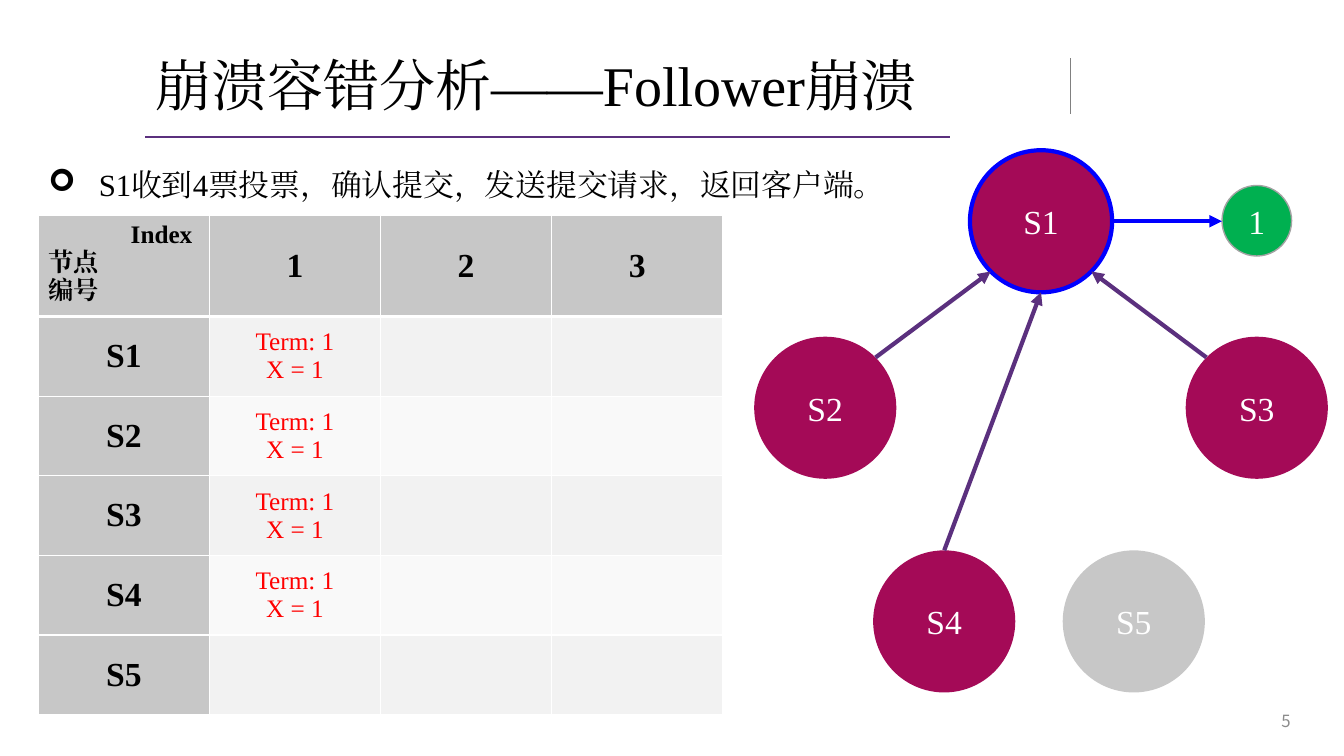
from dataclasses import dataclass
from math import sqrt

from lxml import etree
from pptx import Presentation
from pptx.dml.color import RGBColor
from pptx.enum import shapes, text
from pptx.oxml import ns
from pptx.util import Inches, Pt


@dataclass(frozen=True)
class Theme:
    font: str = "Times New Roman"
    number_font: str = "Noto Sans CJK SC"
    black: str = "000000"
    white: str = "FFFFFF"
    gray: str = "C7C7C7"
    bands: tuple = ("F2F2F2", "F9F9F9")
    page_gray: str = "8C8C8C"
    rule_gray: str = "808080"
    client_edge: str = "A3A3A3"
    purple: str = "5B307E"
    magenta: str = "A40A57"
    green: str = "00B050"
    blue: str = "0000FF"
    red: str = "FF0000"
    title: int = 40
    label: int = 24
    body: int = 22
    small: int = 18
    page: int = 12


THEME = Theme()
ALIGN = text.PP_ALIGN
MIDDLE = text.MSO_ANCHOR.MIDDLE


def rgb(value):
    return RGBColor.from_string(value)


def add_xml(parent, tag, **attributes):
    return etree.SubElement(parent, ns.qn(tag), attributes)


def place(shape, left, top, width, height):
    shape.left, shape.top = Inches(left), Inches(top)
    shape.width, shape.height = Inches(width), Inches(height)


def style_text(frame, size, color, align=ALIGN.LEFT, bold=False, font=THEME.font):
    for paragraph in frame.paragraphs:
        paragraph.alignment = align
        for run in paragraph.runs:
            run.font.size = Pt(size)
            run.font.bold = bold
            run.font.name = font
            run.font.color.rgb = rgb(color)
            add_xml(run._r.get_or_add_rPr(), "a:ea", typeface=font)


def add_line(slide, start, end, color, width, arrow=False):
    points = [Inches(value) for value in (*start, *end)]
    line = slide.shapes.add_connector(shapes.MSO_CONNECTOR.STRAIGHT, *points)
    line.line.color.rgb = rgb(color)
    line.line.width = Pt(width)
    if arrow:
        add_xml(line.line._get_or_add_ln(), "a:tailEnd", type="triangle")
    add_xml(line._element.spPr, "a:effectLst")


def add_title(slide, left, top, width, height):
    title = slide.shapes.title
    place(title, left, top, width, height)
    frame = title.text_frame
    frame.text = "崩溃容错分析——Follower崩溃"
    frame.auto_size = text.MSO_AUTO_SIZE.NONE
    frame.vertical_anchor = MIDDLE
    frame.paragraphs[0].line_spacing = 0.9
    style_text(frame, THEME.title, THEME.black)
    bottom = top + height
    add_line(slide, (left, bottom), (left + 7.98, bottom), THEME.purple, 1.5)
    add_line(slide, (left + 9.18, top + 0.18), (left + 9.18, top + 0.73), THEME.rule_gray, 1)


def add_statement(slide, left, top, width, height):
    body = slide.placeholders[1]
    place(body, left, top, width, height)
    frame = body.text_frame
    frame.text = "S1收到4票投票，确认提交，发送提交请求，返回客户端。"
    frame.auto_size = text.MSO_AUTO_SIZE.SHAPE_TO_FIT_TEXT
    paragraph = frame.paragraphs[0]
    paragraph.space_before = Pt(0)
    properties = paragraph._p.get_or_add_pPr()
    properties.set("marL", str(Inches(0.5)))
    properties.set("indent", str(-Inches(0.5)))
    add_xml(properties, "a:buFont", typeface="Wingdings")
    add_xml(properties, "a:buChar", char="➢")
    style_text(frame, THEME.body, THEME.black)


def style_cell(cell, fill, bottom_width):
    cell.vertical_anchor = MIDDLE
    properties = cell._tc.get_or_add_tcPr()
    widths = {"a:lnL": 1, "a:lnR": 1, "a:lnT": 1, "a:lnB": bottom_width}
    for tag, width in widths.items():
        border = add_xml(properties, tag, w=str(Pt(width)))
        add_xml(add_xml(border, "a:solidFill"), "a:srgbClr", val=THEME.white)
    cell.fill.solid()
    cell.fill.fore_color.rgb = rgb(fill)


def add_log_table(slide, left, top, width, header_height, row_height):
    entry = "Term: 1\nX = 1"
    rows = [["Index\n节点\n编号", "1", "2", "3"]]
    rows += [[f"S{number}", entry if number < 5 else "", "", ""] for number in range(1, 6)]
    height = header_height + row_height * (len(rows) - 1)
    box = [Inches(value) for value in (left, top, width, height)]
    table = slide.shapes.add_table(len(rows), len(rows[0]), *box).table
    for row_index, values in enumerate(rows):
        header = row_index == 0
        table.rows[row_index].height = Inches(header_height if header else row_height)
        for column_index, value in enumerate(values):
            cell = table.cell(row_index, column_index)
            label = header or column_index == 0
            fill = THEME.gray if label else THEME.bands[(row_index - 1) % 2]
            style_cell(cell, fill, 3 if header else 1)
            cell.text_frame.text = value
            size, color = (THEME.label, THEME.black) if label else (THEME.small, THEME.red)
            style_text(cell.text_frame, size, color, ALIGN.CENTER, label)

    corner = table.cell(0, 0)
    corner.vertical_anchor = text.MSO_ANCHOR.TOP
    corner.margin_right = Inches(0.17)
    for paragraph in corner.text_frame.paragraphs:
        paragraph.alignment = ALIGN.LEFT
        paragraph.runs[0].font.size = Pt(THEME.small)
    corner.text_frame.paragraphs[0].alignment = ALIGN.RIGHT


def add_node(slide, label, left, top, width, height, fill, edge=None, edge_width=1):
    box = [Inches(value) for value in (left, top, width, height)]
    node = slide.shapes.add_shape(shapes.MSO_SHAPE.OVAL, *box)
    node.shadow.inherit = False
    node.fill.solid()
    node.fill.fore_color.rgb = rgb(fill)
    if edge:
        node.line.color.rgb = rgb(edge)
        node.line.width = Pt(edge_width)
    else:
        node.line.fill.background()
    node.text_frame.text = label
    node.text_frame.vertical_anchor = MIDDLE
    style_text(node.text_frame, THEME.label, THEME.white, ALIGN.CENTER)


def add_cluster(slide, left, top):
    size = 1.41
    offsets = {"S1": (2.14, 0), "S2": (0, 1.85), "S3": (4.28, 1.85),
               "S4": (1.18, 3.97), "S5": (3.06, 3.97)}
    for name, (across, down) in offsets.items():
        edge = THEME.blue if name == "S1" else None
        fill = THEME.gray if name == "S5" else THEME.magenta
        add_node(slide, name, left + across, top + down, size, size, fill, edge, 3)
    client_left = left + 4.64
    add_node(slide, "1", client_left, top + 0.35, 0.69, 0.7, THEME.green, THEME.client_edge)

    def rim(name, across, down):
        radius = size / 2
        x, y = offsets[name]
        return left + x + radius * (1 + across), top + y + radius * (1 + down)

    diagonal = 1 / sqrt(2)
    leader_right = rim("S1", 1, 0)
    add_line(slide, leader_right, (client_left, leader_right[1]), THEME.blue, 3, True)
    votes = [("S2", diagonal, -diagonal), ("S4", 0, -1), ("S3", -diagonal, -diagonal)]
    for name, across, down in votes:
        add_line(slide, rim(name, across, down), rim("S1", -across, -down), THEME.purple, 3, True)


def add_page_number(slide, left, top, width, height):
    box = slide.shapes.add_textbox(*[Inches(value) for value in (left, top, width, height)])
    frame = box.text_frame
    frame.word_wrap = True
    frame.vertical_anchor = MIDDLE
    frame.text = "5"
    style_text(frame, THEME.page, THEME.page_gray, ALIGN.RIGHT, font=THEME.number_font)


def main():
    presentation = Presentation()
    presentation.slide_width, presentation.slide_height = Inches(13.33), Inches(7.5)
    slide = presentation.slides.add_slide(presentation.slide_layouts[1])
    add_title(slide, 1.44, 0.4, 8.98, 0.96)
    add_page_number(slide, 9.9, 6.95, 3, 0.4)
    add_log_table(slide, 0.38, 2.14, 6.79, 0.92, 0.79)
    add_statement(slide, 0.38, 1.59, 8.72, 0.47)
    add_cluster(slide, 7.48, 1.49)
    presentation.save("out.pptx")


if __name__ == "__main__":
    main()
